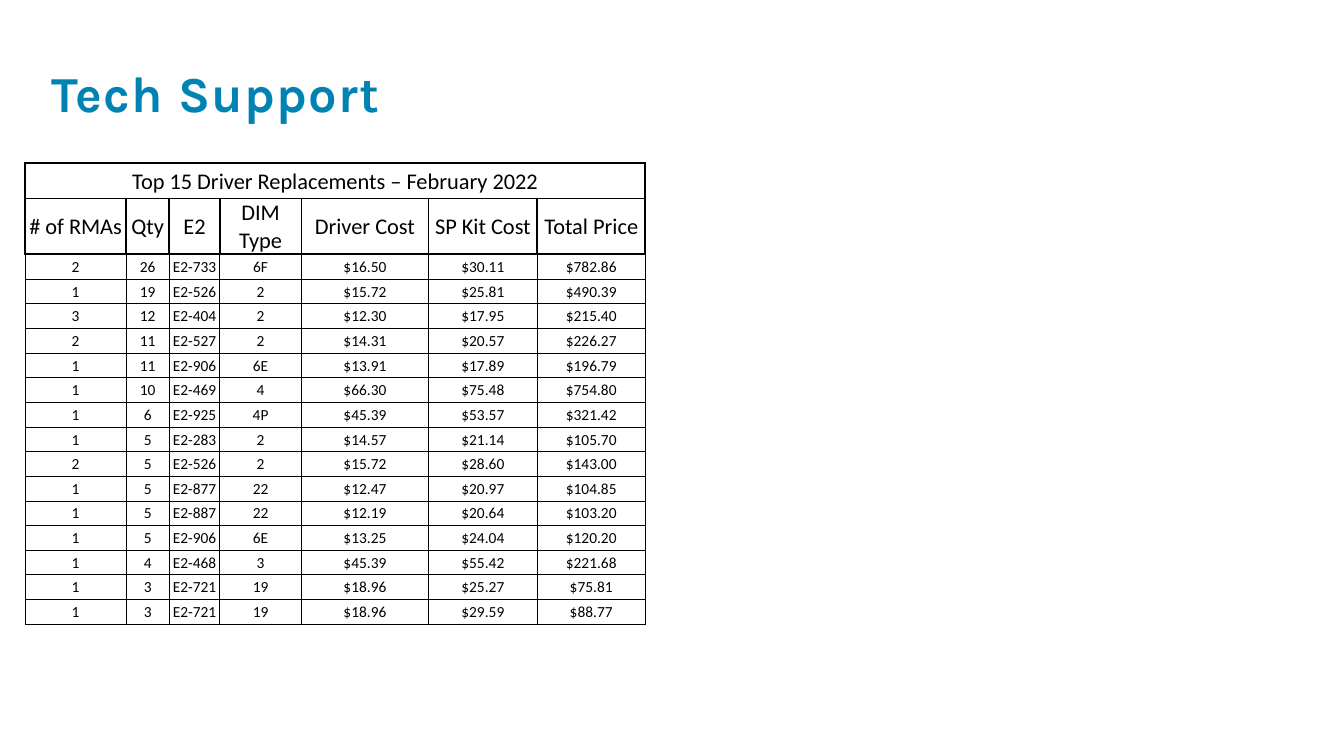
from lxml.etree import SubElement
from pptx import Presentation
from pptx.dml.color import RGBColor
from pptx.enum.text import MSO_ANCHOR, PP_ALIGN
from pptx.oxml.ns import qn
from pptx.util import Inches, Pt

# Content
TITLE = "Tech Support"
CAPTION = "Top 15 Driver Replacements – February 2022"
HEADINGS = ("# of RMAs", "Qty", "E2", "DIM Type", "Driver Cost", "SP Kit Cost", "Total Price")
REPLACEMENTS = [
    ("2", "26", "E2-733", "6F", "$16.50", "$30.11", "$782.86"),
    ("1", "19", "E2-526", "2", "$15.72", "$25.81", "$490.39"),
    ("3", "12", "E2-404", "2", "$12.30", "$17.95", "$215.40"),
    ("2", "11", "E2-527", "2", "$14.31", "$20.57", "$226.27"),
    ("1", "11", "E2-906", "6E", "$13.91", "$17.89", "$196.79"),
    ("1", "10", "E2-469", "4", "$66.30", "$75.48", "$754.80"),
    ("1", "6", "E2-925", "4P", "$45.39", "$53.57", "$321.42"),
    ("1", "5", "E2-283", "2", "$14.57", "$21.14", "$105.70"),
    ("2", "5", "E2-526", "2", "$15.72", "$28.60", "$143.00"),
    ("1", "5", "E2-877", "22", "$12.47", "$20.97", "$104.85"),
    ("1", "5", "E2-887", "22", "$12.19", "$20.64", "$103.20"),
    ("1", "5", "E2-906", "6E", "$13.25", "$24.04", "$120.20"),
    ("1", "4", "E2-468", "3", "$45.39", "$55.42", "$221.68"),
    ("1", "3", "E2-721", "19", "$18.96", "$25.27", "$75.81"),
    ("1", "3", "E2-721", "19", "$18.96", "$29.59", "$88.77"),
]

# Style
BLUE = RGBColor(0x00, 0x83, 0xB3)
BLACK = RGBColor(0x00, 0x00, 0x00)
THICK, THIN = Pt(1.5), Pt(0.5)

# Table geometry in inches
LEFT, TOP, WIDTH, HEIGHT = 0.25, 1.62, 6.15, 4.57
COLUMN_WIDTHS = (1, 0.43, 0.5, 0.81, 1.26, 1.08, 1.07)
CAPTION_HEIGHT, HEADING_HEIGHT = 0.35, 0.55
BODY_HEIGHT = (HEIGHT - CAPTION_HEIGHT - HEADING_HEIGHT) / len(REPLACEMENTS)


def add_run(paragraph, text, font_name, size, color, bold=False):
    run = paragraph.add_run()
    run.text = text
    run.font.name = font_name
    run.font.size = Pt(size)
    run.font.color.rgb = color
    run.font.bold = bold
    return run


def set_borders(cell, widths):
    properties = cell._tc.get_or_add_tcPr()
    for side, width in widths.items():
        line = SubElement(properties, qn(f"a:ln{side}"), w=str(width))
        fill = SubElement(line, qn("a:solidFill"))
        SubElement(fill, qn("a:srgbClr"), val=str(BLACK))


def format_cell(cell, row_index):
    is_body = row_index >= 2
    side_width = THIN if is_body else THICK
    top_width = THICK if row_index <= 2 else THIN
    set_borders(cell, {"L": side_width, "R": side_width, "T": top_width, "B": side_width})
    cell.fill.background()
    cell.vertical_anchor = MSO_ANCHOR.MIDDLE
    cell.margin_left = cell.margin_right = cell.margin_top = Inches(0.01)
    cell.margin_bottom = 0


presentation = Presentation()
presentation.slide_width = Inches(13.33)
presentation.slide_height = Inches(7.5)
slide = presentation.slides.add_slide(presentation.slide_layouts[5])

# Title
title = slide.shapes.title
title.left, title.top, title.width, title.height = map(Inches, (0.41, 0.17, 9.5, 1.09))
title.text_frame.vertical_anchor = MSO_ANCHOR.BOTTOM
paragraph = title.text_frame.paragraphs[0]
paragraph.alignment = PP_ALIGN.LEFT
paragraph.line_spacing = 0.8
title_run = add_run(paragraph, TITLE, "Karla", 36, BLUE, bold=True)
title_run.font._element.set("spc", "100")

# Table frame
rows = [(CAPTION,) + ("",) * (len(HEADINGS) - 1), HEADINGS, *REPLACEMENTS]
table = slide.shapes.add_table(
    len(rows), len(HEADINGS), Inches(LEFT), Inches(TOP), Inches(WIDTH), Inches(HEIGHT)
).table
table.first_row = table.horz_banding = False
for column, width in zip(table.columns, COLUMN_WIDTHS):
    column.width = Inches(width)
row_heights = [CAPTION_HEIGHT, HEADING_HEIGHT] + [BODY_HEIGHT] * len(REPLACEMENTS)
for row, height in zip(table.rows, row_heights):
    row.height = Inches(height)
table.cell(0, 0).merge(table.cell(0, len(HEADINGS) - 1))

# Table cells
for row_index, values in enumerate(rows):
    size = 16 if row_index < 2 else 11
    for column_index, value in enumerate(values):
        cell = table.cell(row_index, column_index)
        format_cell(cell, row_index)
        if value:
            paragraph = cell.text_frame.paragraphs[0]
            paragraph.alignment = PP_ALIGN.CENTER
            add_run(paragraph, value, "Calibri", size, BLACK)

presentation.save("out.pptx")
